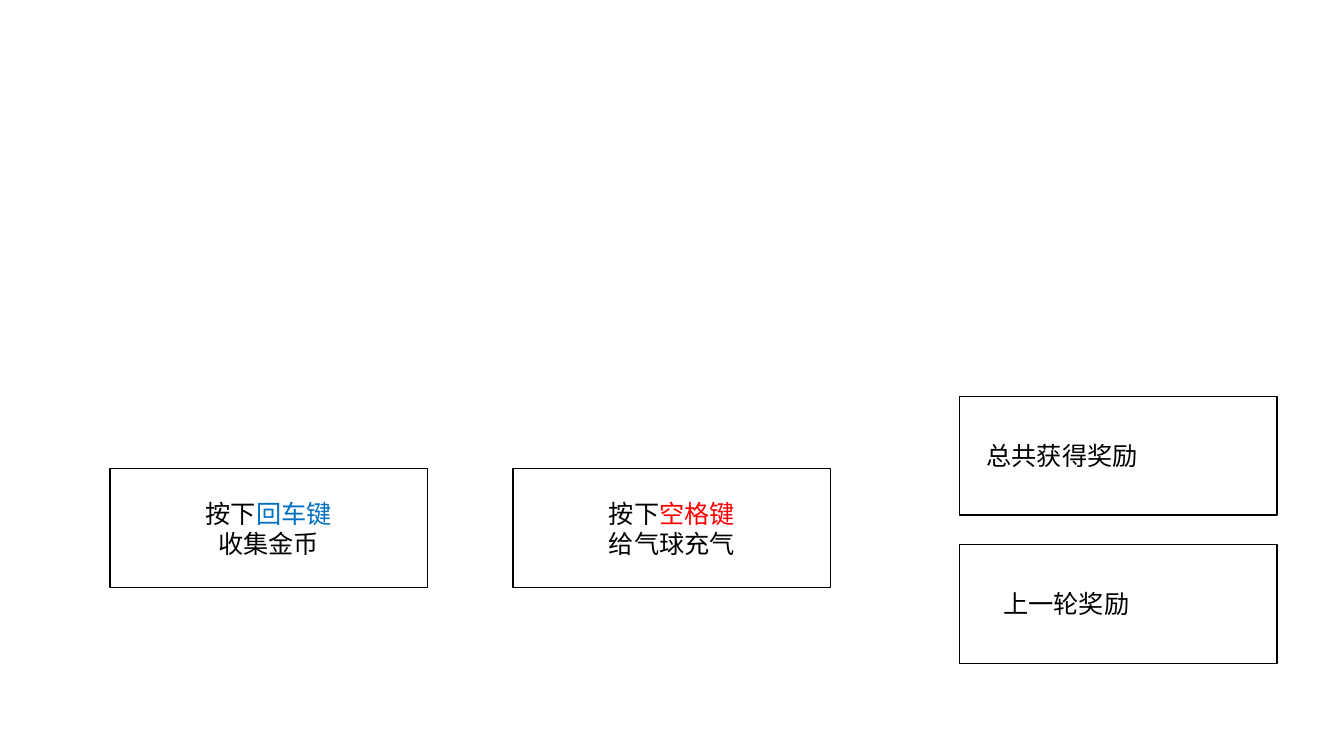
from lxml import etree
from pptx import Presentation
from pptx import util as u
from pptx.dml.color import RGBColor
from pptx.enum import shapes, text
from pptx.oxml.ns import qn

COLORS = {"paper": "FFFFFF", "ink": "000000", "enter": "0070C0", "space": "FF0000"}
BOX_WIDTH, BOX_HEIGHT = 226.8, 85
KEY_TOP = 334.8
REWARD_LEFT = 685.5


class Panel:
    font = "Noto Sans CJK SC"
    size = 18
    inset = 7.2

    def __init__(self, slide):
        self.slide = slide

    def color(self, name):
        return RGBColor.from_string(COLORS[name])

    def add_run(self, paragraph, words, color):
        run = paragraph.add_run()
        run.text = words
        run.font.size = u.Pt(self.size)
        run.font.name = self.font
        run.font.color.rgb = self.color(color)
        east_asian = etree.Element(qn("a:ea"), typeface=self.font)
        run.font._element.find(qn("a:latin")).addnext(east_asian)

    def box(self, left, top, lines, align, indent=0):
        """Add a framed box; each line is a list of (words, color) runs."""
        shape = self.slide.shapes.add_shape(
            shapes.MSO_SHAPE.RECTANGLE,
            u.Pt(left), u.Pt(top), u.Pt(BOX_WIDTH), u.Pt(BOX_HEIGHT))
        shape.shadow.inherit = False
        shape.fill.solid()
        shape.fill.fore_color.rgb = self.color("paper")
        shape.line.color.rgb = self.color("ink")
        shape.line.width = u.Pt(1)
        frame = shape.text_frame
        frame.word_wrap = True
        frame.vertical_anchor = text.MSO_ANCHOR.MIDDLE
        frame.margin_left = u.Pt(self.inset + indent)
        for index, line in enumerate(lines):
            paragraph = frame.add_paragraph() if index else frame.paragraphs[0]
            paragraph.alignment = align
            for words, color in line:
                self.add_run(paragraph, words, color)

    def key_box(self, left, key, color, action):
        lines = [[("按下", "ink"), (key, color)], [(action, "ink")]]
        self.box(left, KEY_TOP, lines, text.PP_ALIGN.CENTER)

    def reward_box(self, top, label, indent):
        self.box(REWARD_LEFT, top, [[(label, "ink")]], text.PP_ALIGN.LEFT, indent)


def main():
    presentation = Presentation()
    presentation.slide_width = u.Pt(960)
    presentation.slide_height = u.Pt(540)
    slide = presentation.slides.add_slide(presentation.slide_layouts[6])
    panel = Panel(slide)

    panel.key_box(78.5, "回车键", "enter", "收集金币")
    panel.key_box(366.5, "空格键", "space", "给气球充气")
    panel.reward_box(283, "总共获得奖励", 12)
    panel.reward_box(388.8, "上一轮奖励", 24)

    presentation.save("out.pptx")


if __name__ == "__main__":
    main()
